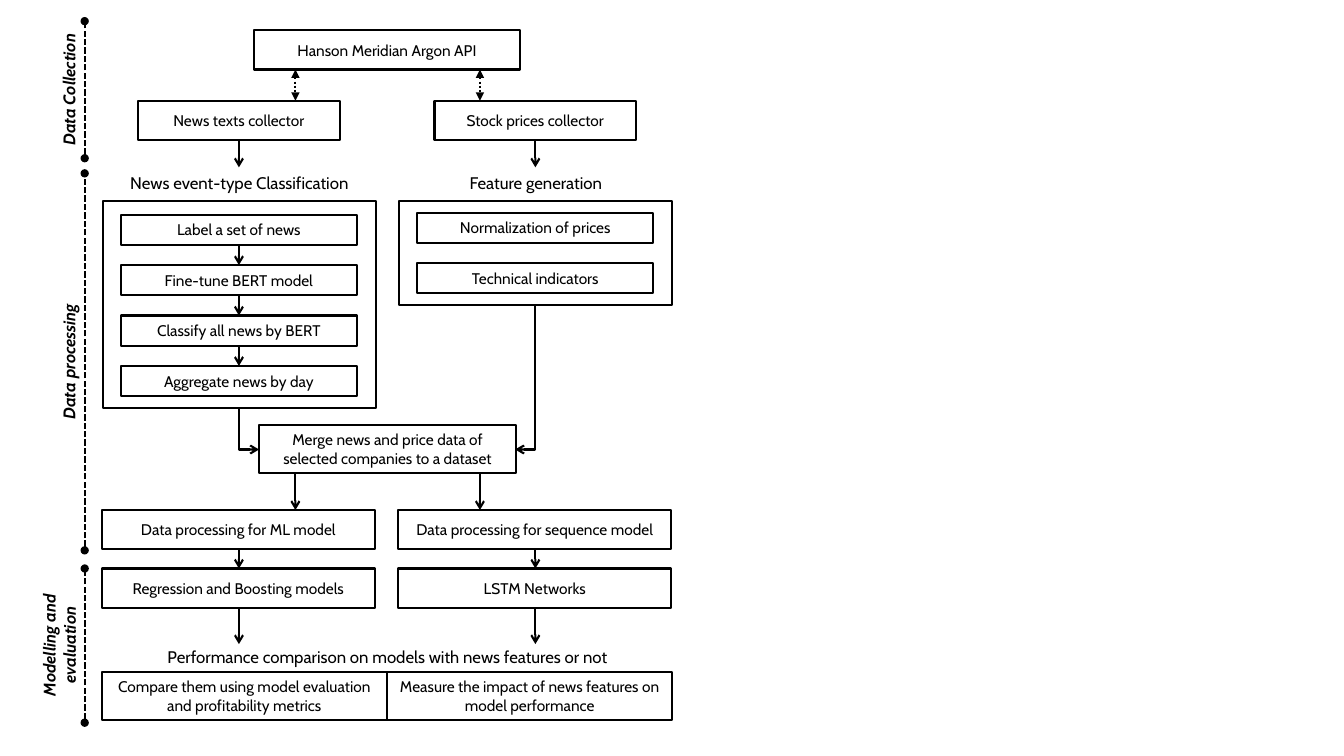
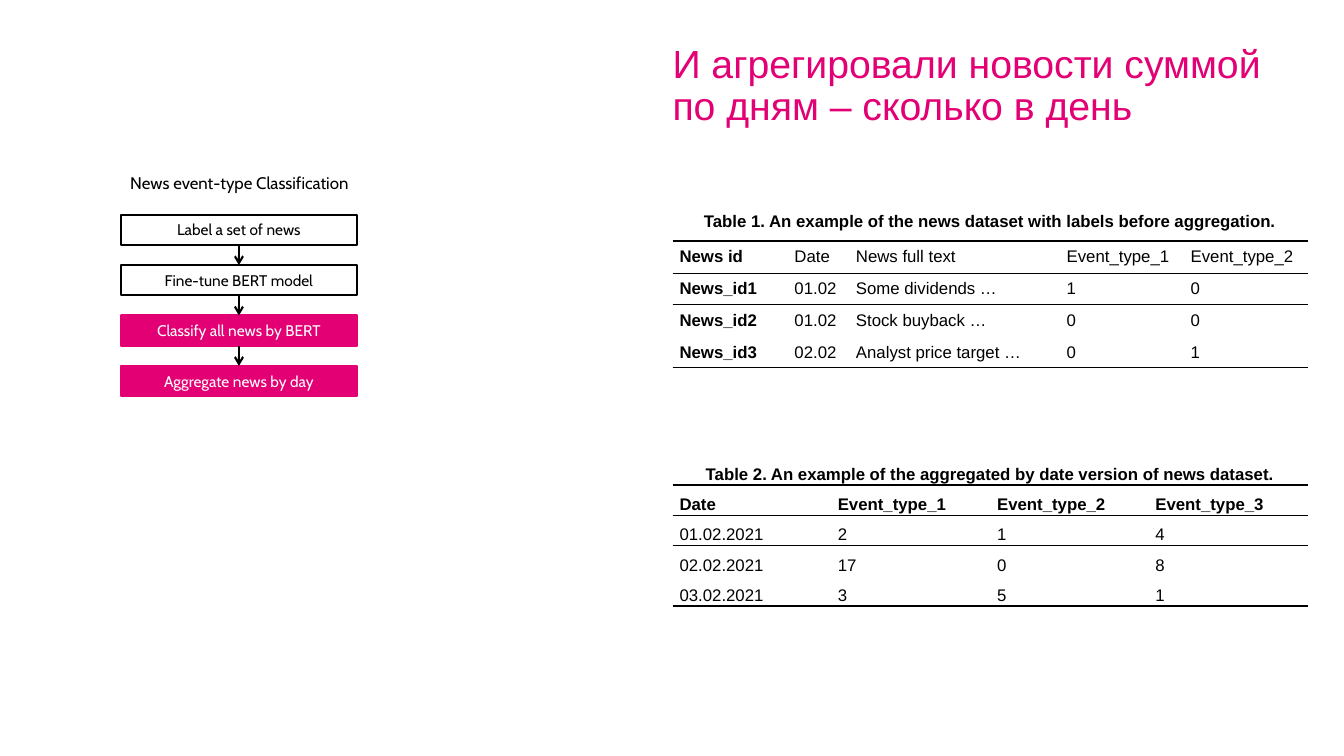
"""Build two slides: a news and price pipeline, and its aggregation step."""
from typing import NamedTuple, Optional

from lxml import etree
from pptx import Presentation
from pptx import util as u
from pptx.dml.color import RGBColor
from pptx.enum import dml, shapes, text
from pptx.oxml.ns import qn

PX = 9144
COLORS = {"ink": "000000", "accent": "E20074", "paper": "FFFFFF"}
FONTS = {
    "box": {"name": "Cabin", "size": u.Pt(11)},
    "label": {"name": "Cabin", "size": u.Pt(12)},
    "phase": {"name": "Cabin", "size": u.Pt(12), "bold": True, "italic": True},
    "title": {"name": "Arial", "size": u.Pt(28), "bold": False},
    "cell": {"name": "Arial", "size": u.Pt(12), "bold": False},
    "strong": {"name": "Arial", "size": u.Pt(12), "bold": True},
}
ALIGN, ANCHOR = text.PP_ALIGN, text.MSO_ANCHOR
DASH = dml.MSO_LINE
NO_GRID = "{2D5ABB26-0587-4C30-8999-92F81FD0307C}"
NEWS_X, PRICE_X = 237, 531
MERGE_LEFT, MERGE_RIGHT = 293, 476


class Box(NamedTuple):
    """A rectangle with optional text and highlight."""
    x: int
    y: int
    w: int
    h: int
    text: str = ""
    hot: bool = False


class Link(NamedTuple):
    """A connector with its dash and line ends."""
    x1: int
    y1: int
    x2: int
    y2: int
    tail: str = "arrow"
    head: str = "none"
    dash: Optional[DASH] = None
    bent: bool = False


class Phase(NamedTuple):
    """A stage of the pipeline shown along the left edge."""
    text: str
    top: int
    bottom: int


class Grid(NamedTuple):
    """A captioned table."""
    y: int
    cols: list[int]
    heights: list[int]
    caption: str
    rows: list[list[str]]
    bold_header: bool
    spacing: float


STEPS = ["Label a set of news", "Fine-tune BERT model",
         "Classify all news by BERT", "Aggregate news by day"]
NEWS_LABEL = Box(102, 166, 271, 30, "News event-type Classification")
LABELS = [Box(396, 166, 271, 30, "Feature generation"),
          Box(102, 637, 565, 30,
              "Performance comparison on models with news features or not")]
PHASES = [Phase("Data Collection", 21, 157),
          Phase("Data processing", 172, 546),
          Phase("Modelling and evaluation", 564, 717)]
BOXES = [
    Box(252, 30, 264, 39, "Hanson Meridian Argon API"),
    Box(137, 100, 200, 39, "News texts collector"),
    Box(431, 100, 200, 39, "Stock prices collector"),
    Box(102, 199, 271, 206),
    Box(396, 199, 271, 104),
    Box(414, 211, 234, 30, "Normalization of prices"),
    Box(414, 261, 234, 30, "Technical indicators"),
    Box(257, 422, 255, 47,
        "Merge news and price data of selected companies to a dataset"),
    Box(101, 506, 271, 39, "Data processing for ML model"),
    Box(395, 506, 271, 39, "Data processing for sequence model"),
    Box(101, 564, 271, 39, "Regression and Boosting models"),
    Box(395, 564, 271, 39, "LSTM Networks"),
    Box(101, 667, 283, 47,
        "Compare them using model evaluation and profitability metrics"),
    Box(384, 667, 283, 47,
        "Measure the impact of news features on model performance"),
]
LINKS = [Link(x, 69, x, 100, "triangle", "triangle", DASH.ROUND_DOT)
         for x in (MERGE_LEFT, MERGE_RIGHT)]
LINKS += [Link(x, top, x, bottom) for x in (NEWS_X, PRICE_X)
          for top, bottom in ((139, 166), (545, 564), (603, 639))]
LINKS += [Link(x, 470, x, 506) for x in (MERGE_LEFT, MERGE_RIGHT)]
LINKS += [Link(257, 446, NEWS_X, 405, "none", "arrow", bent=True),
          Link(511, 446, PRICE_X, 303, "none", "arrow", bent=True)]
GRIDS = [
    Grid(200, [114, 61, 209, 123, 123], [39, 32, 31, 32, 31],
         "Table 1. An example of the news dataset with labels before aggregation.",
         [["News id", "Date", "News full text", "Event_type_1", "Event_type_2"],
          ["News_id1", "01.02", "Some dividends …", "1", "0"],
          ["News_id2", "01.02", "Stock buyback …", "0", "0"],
          ["News_id3", "02.02", "Analyst price target …", "0", "1"]],
         False, 1.0),
    Grid(451, [157, 158, 157, 158], [28] * 5,
         "Table 2. An example of the aggregated by date version of news dataset.",
         [["Date", "Event_type_1", "Event_type_2", "Event_type_3"],
          ["01.02.2021", "2", "1", "4"],
          ["02.02.2021", "17", "0", "8"],
          ["03.02.2021", "3", "5", "1"]],
         True, 1.5),
]


def px(*lengths: int) -> list[int]:
    """Turn pixel lengths into EMU."""
    return [u.Emu(round(n * PX)) for n in lengths]


def rgb(name: str) -> RGBColor:
    """Look up a named colour."""
    return RGBColor.from_string(COLORS[name])


def write(tf, words: str, font: str, color: str = "ink",
          align=ALIGN.CENTER, spacing: float = 1.0) -> None:
    """Fill a text frame with one formatted paragraph."""
    p = tf.paragraphs[0]
    p.alignment, p.line_spacing = align, spacing
    r = p.add_run()
    r.text = words
    for key, value in FONTS[font].items():
        setattr(r.font, key, value)
    r.font.color.rgb = rgb(color)


def add_label(s, box: Box, font: str = "label", anchor=ANCHOR.MIDDLE):
    """Add a centred text box."""
    sp = s.shapes.add_textbox(*px(*box[:4]))
    tf = sp.text_frame
    tf.word_wrap, tf.vertical_anchor = True, anchor
    write(tf, box.text, font)
    return sp


def add_box(s, box: Box) -> None:
    """Add an outlined or highlighted rectangle."""
    sp = s.shapes.add_shape(shapes.MSO_SHAPE.RECTANGLE, *px(*box[:4]))
    sp.shadow.inherit = False
    sp.line.width = u.Pt(1.5)
    sp.line.color.rgb = rgb("accent" if box.hot else "ink")
    if box.hot:
        sp.fill.solid()
        sp.fill.fore_color.rgb = rgb("accent")
    else:
        sp.fill.background()
    if box.text:
        sp.text_frame.word_wrap = True
        sp.text_frame.vertical_anchor = ANCHOR.MIDDLE
        write(sp.text_frame, box.text, "box", "paper" if box.hot else "ink")


def add_link(s, link: Link) -> None:
    """Add a straight or one-bend connector."""
    kind = shapes.MSO_CONNECTOR
    sp = s.shapes.add_connector(kind.ELBOW if link.bent else kind.STRAIGHT,
                                *px(*link[:4]))
    pr = sp._element.spPr
    if link.bent:
        pr.find(qn("a:prstGeom")).set("prst", "bentConnector2")
    sp.line.width = u.Pt(1.5)
    sp.line.color.rgb = rgb("ink")
    if link.dash is not None:
        sp.line.dash_style = link.dash
    ln = pr.find(qn("a:ln"))
    for tag, end in (("a:headEnd", link.head), ("a:tailEnd", link.tail)):
        etree.SubElement(ln, qn(tag), type=end)
    etree.SubElement(pr, qn("a:effectLst"))


def add_phase(s, phase: Phase) -> None:
    """Add a dashed span and its upright label."""
    span = phase.bottom - phase.top
    middle = (phase.top + phase.bottom) // 2
    sp = add_label(s, Box(68 - span // 2, middle - 15, span, 30, phase.text),
                   "phase", ANCHOR.BOTTOM)
    sp.rotation = 270
    add_link(s, Link(84, phase.bottom, 84, phase.top, "oval", "oval",
                     DASH.SQUARE_DOT))


def add_news_steps(s, hot: tuple[int, ...] = ()) -> None:
    """Add the labelled chain of news steps."""
    add_label(s, NEWS_LABEL)
    for i, step in enumerate(STEPS):
        y = 213 + 50 * i
        add_box(s, Box(120, y, 234, 30, step, i in hot))
        if i:
            add_link(s, Link(NEWS_X, y - 20, NEWS_X, y))


def add_rule(cell, side: str, width: float) -> None:
    """Draw one border of a cell."""
    ln = etree.SubElement(cell._tc.get_or_add_tcPr(), qn(f"a:{side}"),
                          w=str(u.Pt(width)))
    fill = etree.SubElement(ln, qn("a:solidFill"))
    etree.SubElement(fill, qn("a:srgbClr"), val=COLORS["ink"])


def add_grid(s, grid: Grid) -> None:
    """Add a captioned table ruled around its header and foot."""
    n = len(grid.cols)
    frame = s.shapes.add_table(len(grid.heights), n, *px(
        667, grid.y, sum(grid.cols), sum(grid.heights)))
    table = frame.table
    table.first_row = table.horz_banding = False
    table._tbl.tblPr.find(qn("a:tableStyleId")).text = NO_GRID
    for parts, sizes, key in ((table.columns, grid.cols, "width"),
                              (table.rows, grid.heights, "height")):
        for part, size in zip(parts, px(*sizes)):
            setattr(part, key, size)
    rules = {0: 1.5, 1: 1, len(grid.rows): 1}
    margins = dict(zip(("margin_left", "margin_right", "margin_top",
                        "margin_bottom"), px(7, 7, 0, 0)))
    table.cell(0, 0).merge(table.cell(0, n - 1))
    for i, row in enumerate([[grid.caption] + [""] * (n - 1)] + grid.rows):
        for j, words in enumerate(row):
            cell = table.cell(i, j)
            for key, value in margins.items():
                setattr(cell, key, value)
            cell.vertical_anchor = ANCHOR.MIDDLE
            for side, edge in (("lnT", i - 1), ("lnB", i)):
                if edge in rules:
                    add_rule(cell, side, rules[edge])
            cell.fill.background()
            strong = i == 0 or (i == 1 if grid.bold_header else j == 0)
            if words:
                write(cell.text_frame, words, "strong" if strong else "cell",
                      align=ALIGN.JUSTIFY if i else ALIGN.CENTER,
                      spacing=grid.spacing)


def add_title(s, words: str) -> None:
    """Place and fill the title placeholder."""
    sp = s.shapes.title
    sp.left, sp.top, sp.width, sp.height = px(667, 44, 598, 79)
    tf = sp.text_frame
    settings = {"margin_left": 0, "margin_right": 0, "margin_top": 0,
                "margin_bottom": 0, "word_wrap": True,
                "auto_size": text.MSO_AUTO_SIZE.NONE,
                "vertical_anchor": ANCHOR.TOP}
    for key, value in settings.items():
        setattr(tf, key, value)
    write(tf, words, "title", "accent", ALIGN.LEFT, 0.9)


def main() -> None:
    """Build and save the presentation."""
    prs = Presentation()
    prs.slide_width, prs.slide_height = px(1333, 750)
    s = prs.slides.add_slide(prs.slide_layouts[6])
    for draw, items in ((add_phase, PHASES), (add_box, BOXES),
                        (add_label, LABELS), (add_link, LINKS)):
        for item in items:
            draw(s, item)
    add_news_steps(s)
    s = prs.slides.add_slide(prs.slide_layouts[5])
    add_title(s, "И агрегировали новости суммой по дням – сколько в день")
    add_news_steps(s, hot=(2, 3))
    for grid in GRIDS:
        add_grid(s, grid)
    prs.save("out.pptx")


if __name__ == "__main__":
    main()
